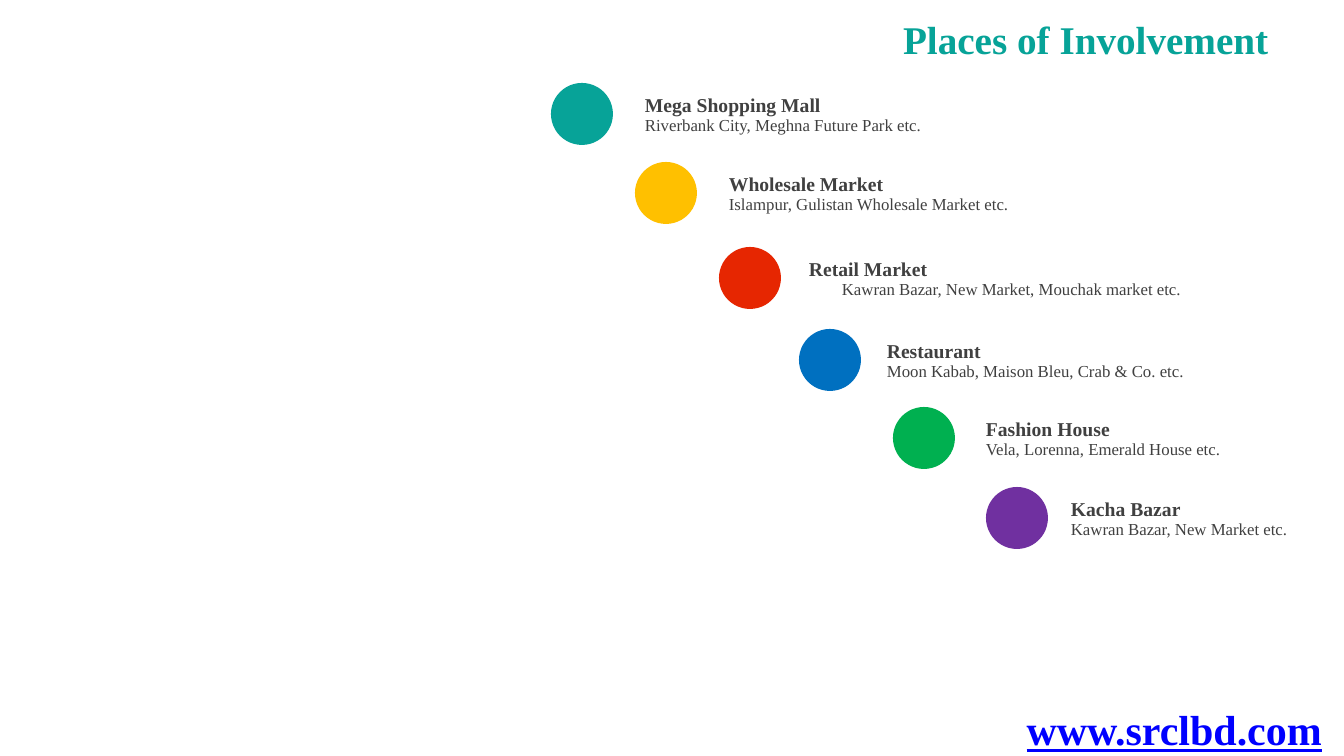
from pptx import Presentation
from pptx.dml.color import RGBColor
from pptx.enum.shapes import MSO_SHAPE
from pptx.enum.text import MSO_ANCHOR, MSO_AUTO_SIZE, PP_ALIGN
from pptx.util import Pt

FONT = "Times New Roman"
TEAL, GREY, BLUE = "07A398", "404040", "0000FF"
TITLE = "Places of Involvement"
SITE = "www.srclbd.com"

# dot left, dot top, dot colour, label left, detail indent, label width, heading, detail
PLACES = [
    (551, 83, TEAL, 635, 0, 329, "Mega Shopping Mall", "Riverbank City, Meghna Future Park etc."),
    (635, 162, "FFC000", 719, 0, 329, "Wholesale Market", "Islampur, Gulistan Wholesale Market etc."),
    (719, 247, "E62601", 799, 33, 373, "Retail Market", "Kawran Bazar, New Market, Mouchak market etc."),
    (799, 329, "0070C0", 877, 0, 329, "Restaurant", "Moon Kabab, Maison Bleu, Crab & Co. etc."),
    (893, 407, "00B050", 976, 0, 297, "Fashion House", "Vela, Lorenna, Emerald House etc."),
    (986, 487, "7030A0", 1061, 0, 254, "Kacha Bazar", "Kawran Bazar, New Market etc."),
]
DOT = 62
HEAD_DROP, DETAIL_DROP = 5, 27


def px(n):
    return round(n * 914400 / 100.8)


def color(text):
    return RGBColor.from_string(text)


def write(shape, text, size, tint, bold=False, line=False, align=PP_ALIGN.LEFT):
    frame = shape.text_frame
    frame.word_wrap = True
    frame.auto_size = MSO_AUTO_SIZE.NONE
    frame.vertical_anchor = MSO_ANCHOR.TOP
    para = frame.paragraphs[0]
    para.alignment = align
    para.line_spacing = 1.0
    run = para.add_run()
    run.text = text
    font = run.font
    font.name, font.size, font.bold, font.underline = FONT, Pt(size), bold, line
    font.color.rgb = color(tint)


def label(slide, box, *args, **style):
    write(slide.shapes.add_textbox(*map(px, box)), *args, **style)


def dot(slide, x, y, tint):
    shape = slide.shapes.add_shape(MSO_SHAPE.OVAL, px(x), px(y), px(DOT), px(DOT))
    shape.shadow.inherit = False
    shape.fill.solid()
    shape.fill.fore_color.rgb = color(tint)
    shape.line.fill.background()


def main():
    deck = Presentation()
    deck.slide_width, deck.slide_height = px(1344), px(756)
    slide = deck.slides.add_slide(deck.slide_layouts[5])

    title = slide.shapes.title
    title.left, title.top, title.width, title.height = map(px, (893, 10, 392, 57))
    write(title, TITLE, 28, TEAL, bold=True)

    for x, y, tint, left, indent, width, head, detail in PLACES:
        dot(slide, x, y, tint)
        label(slide, (left + indent, y + DETAIL_DROP, width, 30), detail, 12, GREY)
        label(slide, (left, y + HEAD_DROP, width, 34), head, 14, GREY, bold=True)

    label(slide, (1016, 699, 316, 57), SITE, 30, BLUE, bold=True, line=True, align=PP_ALIGN.RIGHT)
    deck.save("out.pptx")


if __name__ == "__main__":
    main()
